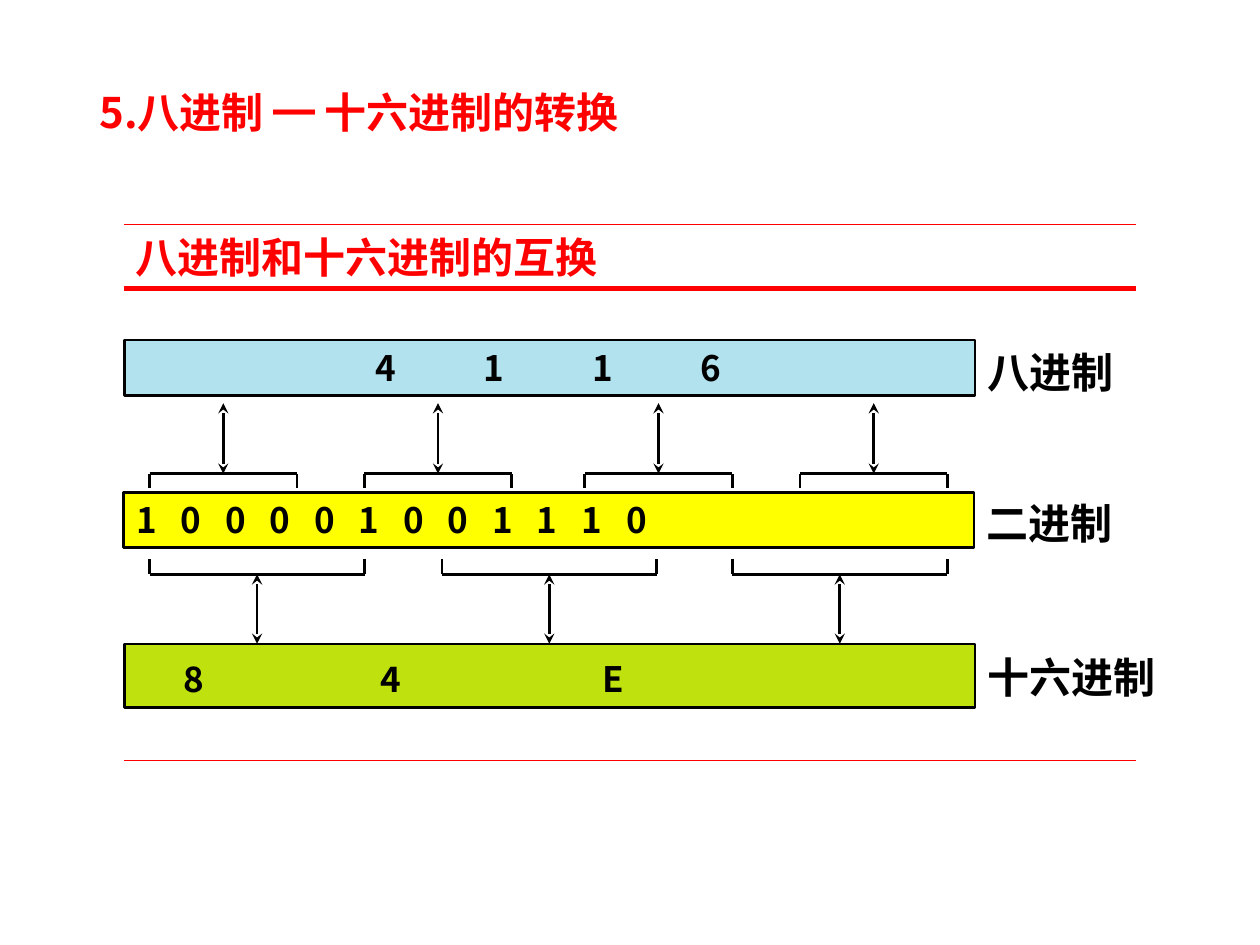
from lxml import etree
from pptx import Presentation
from pptx.dml.color import RGBColor
from pptx.enum.shapes import MSO_CONNECTOR, MSO_SHAPE
from pptx.enum.text import MSO_ANCHOR, MSO_AUTO_SIZE, PP_ALIGN
from pptx.oxml.ns import qn
from pptx.util import Pt

RECT = MSO_SHAPE.RECTANGLE
LINE = MSO_CONNECTOR.STRAIGHT
MIDDLE = MSO_ANCHOR.MIDDLE
TOP = MSO_ANCHOR.TOP
LEFT = PP_ALIGN.LEFT
GROW = MSO_AUTO_SIZE.SHAPE_TO_FIT_TEXT
HAN = "Noto Sans CJK SC"
HUES = {"red": "FF0000", "black": "000000", "blue": "B2E2EE",
        "yellow": "FFFF00", "green": "BFE10E"}

deck = Presentation()
deck.slide_width, deck.slide_height = Pt(720), Pt(540)
slide = deck.slides.add_slide(deck.slide_layouts[6])
shapes = slide.shapes


def add_run(para, text, size, hue, face=HAN):
    run = para.add_run()
    run.text = text
    font = run.font
    font.size, font.bold, font.name = Pt(size), True, face
    font.color.rgb = RGBColor.from_string(HUES[hue])
    etree.SubElement(font._element, qn("a:ea"), typeface=HAN)


def add_line(x1, y1, x2, y2, hue="black", width=1.5, arrow=False):
    line = shapes.add_connector(LINE, Pt(x1), Pt(y1), Pt(x2), Pt(y2))
    line.line.color.rgb = RGBColor.from_string(HUES[hue])
    line.line.width = Pt(width)
    if arrow:
        ln = line.line._get_or_add_ln()
        for end in ("a:headEnd", "a:tailEnd"):
            etree.SubElement(ln, qn(end), type="stealth")
    etree.SubElement(line._element.spPr, qn("a:effectLst"))


title = shapes.add_textbox(Pt(49.7), Pt(49), Pt(620.6), Pt(437)).text_frame
title.word_wrap = True
para = title.paragraphs[0]
para.line_spacing = 0.9
para.space_after = Pt(12)
for text, face in (("5.八进制 ", HAN), ("━ ", "Arial"), ("十六进制的转换", HAN)):
    add_run(para, text, 24, "red", face)

head = shapes.add_textbox(Pt(70.6), Pt(128.2), Pt(578.2), Pt(36.7)).text_frame
head.word_wrap = True
head.vertical_anchor = MIDDLE
add_run(head.paragraphs[0], "八进制和十六进制的互换", 24, "red")
for y, width in ((164.9, 3), (434.5, 0.75), (128.2, 0.75)):
    add_line(70.6, y, 649.4, y, "red", width)

bars = [
    (71.2, 194.4, 31.7, "blue", "4116", 20, [136.2 + 61.9 * i for i in range(4)]),
    (70.7, 281.3, 31.7, "yellow", "100001001110", 20, [25.45 * i for i in range(12)]),
    (71.2, 367.9, 36.3, "green", "84E", 24, [26.5, 139, 266]),
]
for x, y, high, hue, digits, lead, stops in bars:
    bar = shapes.add_shape(RECT, Pt(x), Pt(y), Pt(486), Pt(high))
    bar.shadow.inherit = False
    bar.fill.solid()
    bar.fill.fore_color.rgb = RGBColor.from_string(HUES[hue])
    bar.line.color.rgb = RGBColor.from_string(HUES["black"])
    bar.line.width = Pt(1.5)
    frame = bar.text_frame
    frame.word_wrap = True
    frame.auto_size = GROW
    frame.vertical_anchor = TOP
    para = frame.paragraphs[0]
    para.alignment = LEFT
    tabs = etree.SubElement(para._p.get_or_add_pPr(), qn("a:tabLst"))
    for stop in stops:
        if stop:
            etree.SubElement(tabs, qn("a:tab"), pos=str(int(Pt(stop))), algn="l")
    if stops[0]:
        add_run(para, "\t", lead, "black")
    add_run(para, "\t".join(digits), 20, "black")

for text, x, y, wide in (("二进制", 556.6, 280.8, 87.1), ("八进制", 557.3, 194.4, 87.1),
                         ("十六进制", 557.3, 368.6, 111.6)):
    label = shapes.add_textbox(Pt(x), Pt(y), Pt(wide), Pt(36)).text_frame
    label.word_wrap = False
    label.auto_size = GROW
    add_run(label.paragraphs[0], text, 24, "black", "Calibri")

groups = [
    ((85.5, 208.2, 334.2, 457.2), 84.2, 270.7, 279, 230.4),
    ((85.5, 252.5, 418.5), 122.8, 328.2, 319.7, 367.9),
]
for lefts, span, y, foot, tip in groups:
    for x in lefts:
        for side in (x, x + span):
            add_line(side, foot, side, y)
        add_line(x, y, x + span, y)
        mid = x + span / 2
        add_line(mid, max(y, tip), mid, min(y, tip), arrow=True)

deck.save("out.pptx")
